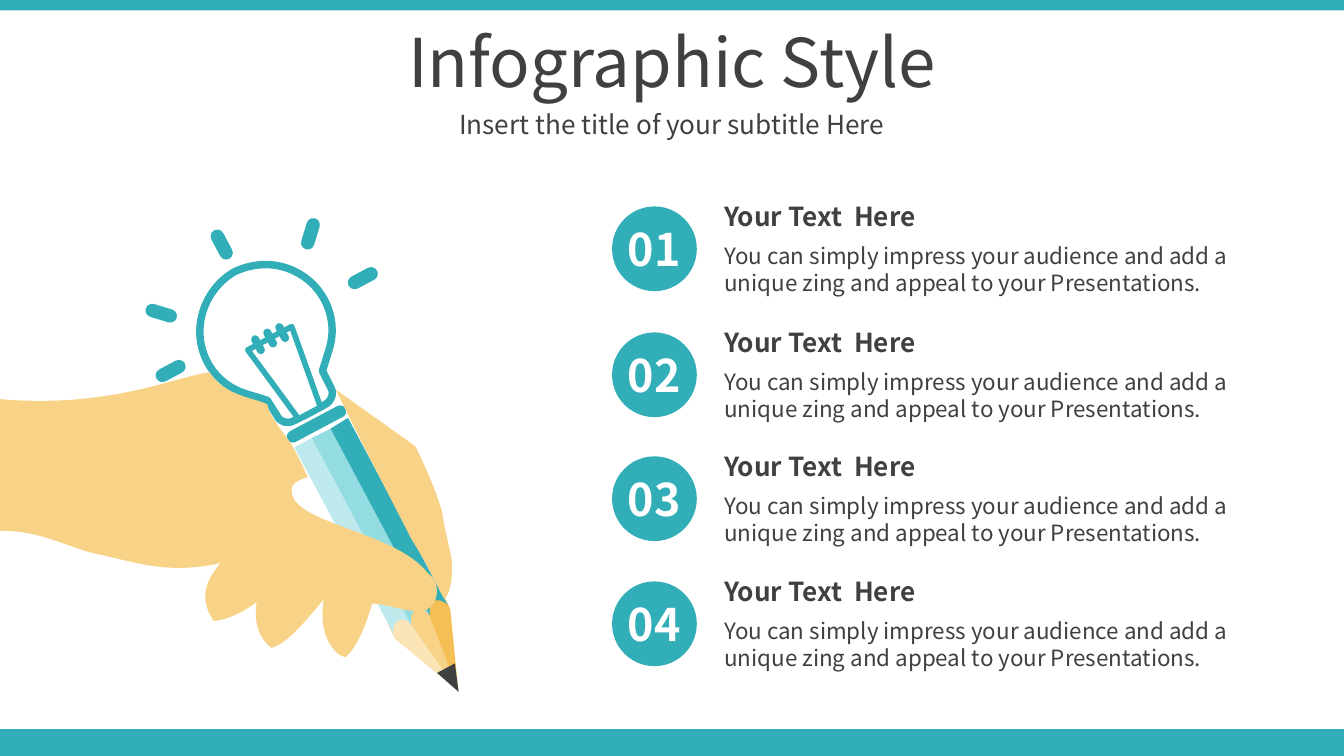
from pptx import Presentation
from pptx.dml.color import RGBColor
from pptx.enum import shapes, text
from pptx.oxml.ns import qn
from pptx.util import Pt

TEAL = RGBColor(0x32, 0xAE, 0xB8)
AQUA = RGBColor(0x92, 0xDC, 0xE2)
PALE_AQUA = RGBColor(0xBE, 0xEA, 0xED)
AMBER = RGBColor(0xF6, 0xBF, 0x56)
SKIN = RGBColor(0xF8, 0xD2, 0x86)
CREAM = RGBColor(0xFB, 0xE4, 0xB6)
DARK = RGBColor(0x40, 0x40, 0x40)
WHITE = RGBColor(0xFF, 0xFF, 0xFF)

FONT = "Noto Sans CJK KR"
SHAPE = shapes.MSO_SHAPE
TITLE = {"size": Pt(36)}
SUBTITLE = {"size": Pt(14)}
HEADING = {"size": Pt(14), "bold": True}
BODY = {"size": Pt(12)}
NUMBER = {"size": Pt(24), "bold": True}
BOX = {"word_wrap": True, "vertical_anchor": text.MSO_ANCHOR.TOP}
MIDDLE = {"word_wrap": True, "vertical_anchor": text.MSO_ANCHOR.MIDDLE}

ART_WIDTH = 500
ITEM_TOPS = [103.7, 171.2, 237.6, 304.6]

PENCIL = [
    (AMBER, "M 289,465 L 330,443 335,453 341,514 294,475"),
    (SKIN, "M 302,457 L 316,450 319,457 341,514 307,467"),
    (CREAM, "M 289,465 L 302,458 C 304,460 305,462 306,465 L 340,513 294,475"),
    (PALE_AQUA, "M 219,333 L 232,326 306,465 C 303,461 299,460 296,462 293,463 292,468 293,472"),
    (AQUA, "M 232,326 L 246,319 320,458 C 317,454 313,453 309,454 306,456 305,460 306,465"),
    (TEAL, "M 246,319 L 259,311 333,450 C 330,447 326,446 323,447 320,449 319,453 320,458"),
]
BULB = (
    "M 175,202 C 186,197 199,195 212,199 238,207 253,234 245,260 L 240,276 246,288 "
    "C 249,293 247,298 242,301 L 231,307 219,313 C 214,316 208,314 206,309 L 199,298 "
    "C 194,296 189,295 183,293 157,285 143,258 151,232 155,219 164,208 175,202"
)
HAND = (
    "M 250,290 L 309,332 C 317,348 325,367 329,381 331,395 334,405 336,416 "
    "337,426 336,439 331,446 326,439 322,426 306,401 293,375 264,320 250,290 "
    "M 156,277 C 167,295 190,296 199,301 200,310 213,324 217,331 222,340 225,346 229,355 "
    "222,357 216,360 217,366 219,390 293,395 318,426 331,436 324,454 314,455 "
    "300,455 295,451 277,449 271,469 265,482 257,489 250,488 236,474 241,446 "
    "231,457 216,478 202,482 191,474 189,459 191,448 183,454 171,461 159,462 "
    "146,443 156,429 164,419 128,427 106,420 76,413 53,409 31,394 -2,395 "
    "L 0,297 C 83,304 131,280 156,277"
)
RAYS = [(226, 162, 17), (115, 221, 287), (160, 170, 332), (265, 195, 62), (122, 264, 242)]
COILS = [(189, 249), (198, 244), (207, 240)]


def apply(obj, fmt):
    for name, value in fmt.items():
        setattr(obj, name, value)


def paint(sp, fill, line=None, width=0):
    sp.shadow.inherit = False
    sp.fill.solid()
    sp.fill.fore_color.rgb = fill
    if line is None:
        sp.line.fill.background()
    else:
        sp.line.color.rgb = line
        sp.line.width = Pt(width)


def add_preset(parent, kind, x, y, w, h, fill, rotation=0, **line):
    sp = parent.shapes.add_shape(kind, Pt(x), Pt(y), Pt(w), Pt(h))
    sp.rotation = rotation
    if kind == SHAPE.ROUNDED_RECTANGLE:
        sp.adjustments[0] = 0.5
    paint(sp, fill, **line)


def add_text(parent, x, y, w, h, words, fmt, color=DARK, align=text.PP_ALIGN.LEFT, box=BOX):
    tf = parent.shapes.add_textbox(Pt(x), Pt(y), Pt(w), Pt(h)).text_frame
    apply(tf, box)
    p = tf.paragraphs[0]
    p.alignment = align
    r = p.add_run()
    r.text = words
    apply(r.font, {"name": FONT, **fmt})
    r.font.color.rgb = color


def trace(outline):
    loops, curved, command = [], [], ""
    for token in outline.split():
        if token in "MLC":
            command = token
            continue
        point = tuple(float(n) for n in token.split(","))
        if command == "M":
            loops.append([point])
        else:
            loops[-1].append(point)
            curved.append(command == "C")
    return loops, curved


def bend(sp, curved):
    segments = list(sp._element.iter(qn("a:lnTo")))
    controls = [seg for seg, is_curve in zip(segments, curved) if is_curve]
    for first, second, last in zip(*[iter(controls)] * 3):
        first.tag = qn("a:cubicBezTo")
        for seg in (second, last):
            first.append(seg[0])
            seg.getparent().remove(seg)


def add_outline(parent, x, y, unit, outline, fill, **line):
    loops, curved = trace(outline)
    builder = None
    for loop in loops:
        points = [(Pt(x + px * unit), Pt(y + py * unit)) for px, py in loop]
        if builder is None:
            builder = parent.shapes.build_freeform(*points[0])
        else:
            builder.move_to(*points[0])
        builder.add_line_segments(points[1:], close=True)
    sp = builder.convert_to_shape()
    bend(sp, curved)
    paint(sp, fill, **line)


def draw_bars(s, w, h):
    add_preset(s, SHAPE.RECTANGLE, 0, h - 14.4, w, 14.4, TEAL)
    add_preset(s, SHAPE.RECTANGLE, 0, 0, w, 5.6, TEAL)


def draw_header(s, x, y, w):
    center = {"align": text.PP_ALIGN.CENTER, "box": MIDDLE}
    add_text(s, x, y, w, 45.4, "Infographic Style", TITLE, **center)
    add_text(s, x, y + 45.7, w, 22.3, "Insert the title of your subtitle Here", SUBTITLE, **center)


def draw_art(s, x, y, w):
    unit = w / ART_WIDTH
    pen = s.shapes.add_group_shape()

    def part(kind, px, py, pw, ph, rotation, fill=TEAL, **line):
        add_preset(pen, kind, x + px * unit, y + py * unit, pw * unit, ph * unit,
                   fill, rotation, **line)

    for fill, outline in PENCIL:
        add_outline(pen, x, y, unit, outline, fill)
    part(SHAPE.ISOSCELES_TRIANGLE, 329, 496, 15, 20, 152, DARK)
    add_outline(pen, x, y, unit, BULB, WHITE, line=TEAL, width=4)
    part(SHAPE.TRAPEZOID, 197, 248, 37, 63, 152, WHITE, line=TEAL, width=3)
    for px, py, rotation in RAYS:
        part(SHAPE.ROUNDED_RECTANGLE, px, py, 10, 24, rotation)
    part(SHAPE.ROUNDED_RECTANGLE, 211, 311, 49, 9, 332)
    for px, py in COILS:
        part(SHAPE.ROUNDED_RECTANGLE, px, py, 6, 15, 332)
    add_outline(s, x, y, unit, HAND, SKIN)


def draw_item(s, x, y, w, number):
    add_preset(s, SHAPE.OVAL, x + 2.5, y + 6.9, 45.4, 45.4, TEAL)
    add_text(s, x, y + 11.6, 50.4, 36, f"{number:02d}", NUMBER, WHITE, text.PP_ALIGN.CENTER)
    g = s.shapes.add_group_shape()
    add_text(g, x + 55.5, y + 22.3, w - 55.5, 51.1,
             "You can simply impress your audience and add a unique zing "
             "and appeal to your Presentations.", BODY)
    add_text(g, x + 55.5, y, w - 55.5, 24.5, "Your Text  Here", HEADING)


def main():
    prs = Presentation()
    apply(prs, {"slide_width": Pt(720), "slide_height": Pt(405)})
    s = prs.slides.add_slide(prs.slide_layouts[6])
    draw_bars(s, 720, 405)
    draw_header(s, 0, 9.8, 720)
    draw_art(s, 0, 0, 360)
    for number, top in enumerate(ITEM_TOPS, 1):
        draw_item(s, 325.4, top, 344.9, number)
    prs.save("out.pptx")


if __name__ == "__main__":
    main()
